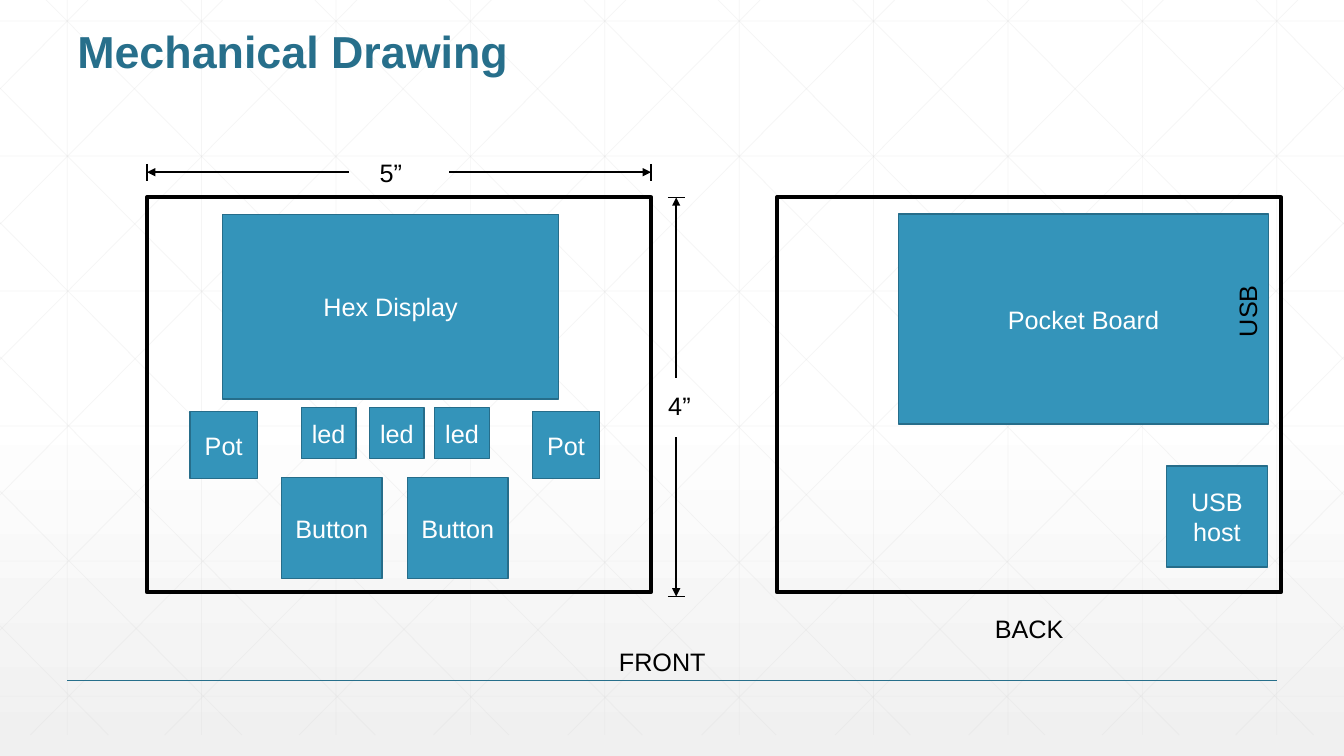
import copy
import pptx
import pptx.util
import pptx.dml.color
import pptx.enum.shapes
import pptx.enum.text
import pptx.oxml
import pptx.oxml.ns

RGBColor = pptx.dml.color.RGBColor
WHITE = RGBColor(0xFF, 0xFF, 0xFF)
SMOKE = RGBColor(0xF0, 0xF0, 0xF0)
GRID_GREY = RGBColor(0xD9, 0xD9, 0xD9)
BLACK = RGBColor(0, 0, 0)
BLUE = RGBColor(0x34, 0x94, 0xBA)
BLUE_EDGE = RGBColor(0x26, 0x6D, 0x8A)
TITLE_BLUE = RGBColor(0x27, 0x6F, 0x8B)

PX = 9525  # EMU per px, 96 px to the inch
WIDTH, HEIGHT = 1280, 720
GRID_BOTTOM = 700
GRID_STEP = 128
DIAGONAL_SLOPE = 0.993

ANCHOR = pptx.enum.text.MSO_ANCHOR
ALIGN = pptx.enum.text.PP_ALIGN
RECT = pptx.enum.shapes.MSO_SHAPE.RECTANGLE
STRAIGHT = pptx.enum.shapes.MSO_CONNECTOR.STRAIGHT


def px(*lengths):
    return [pptx.util.Emu(round(n * PX)) for n in lengths]


def apply(target, formats):
    for name, value in formats.items():
        setattr(target, name, value)


def add_xml(parent, tag, **attributes):
    child = pptx.oxml.parse_xml(f'<a:{tag} {pptx.oxml.ns.nsdecls("a")}/>')
    for name, value in attributes.items():
        child.set(name, value)
    parent.append(child)


def write(tf, text, color, size=18, bold=False, align=ALIGN.LEFT):
    p = tf.paragraphs[0]
    p.alignment = align
    r = p.add_run()
    r.text = text
    apply(r.font, {"name": "Arial", "size": pptx.util.Pt(size), "bold": bold})
    r.font.color.rgb = color


def add_line(shapes, x1, y1, x2, y2, color=BLACK, width=1, alpha=None, arrow=False):
    """Straight line; an arrow points at its first end."""
    cx = shapes.add_connector(STRAIGHT, *px(x1, y1, x2, y2))
    cx.line.color.rgb = color
    cx.line.width = pptx.util.Pt(width)
    ln = cx.line._ln
    if alpha:
        add_xml(ln.find(".//" + pptx.oxml.ns.qn("a:srgbClr")), "alpha", val=str(alpha * 1000))
    if arrow:
        add_xml(ln, "headEnd", type="triangle")
    add_xml(cx._element.spPr, "effectLst")


def add_rect(shapes, x, y, w, h, edge, width):
    sp = shapes.add_shape(RECT, *px(x, y, w, h))
    sp.shadow.inherit = False
    sp.fill.background()
    sp.line.color.rgb = edge
    sp.line.width = pptx.util.Pt(width)
    return sp


def add_block(shapes, text, x, y, w, h):
    sp = add_rect(shapes, x, y, w, h, BLUE_EDGE, 1)
    sp.fill.solid()
    sp.fill.fore_color.rgb = BLUE
    apply(sp.text_frame, {"word_wrap": True, "vertical_anchor": ANCHOR.MIDDLE})
    write(sp.text_frame, text, WHITE, align=ALIGN.CENTER)


def add_label(shapes, text, x, y, w, rotation=0):
    sp = shapes.add_textbox(*px(x, y, w, 38))
    sp.rotation = rotation
    sp.text_frame.word_wrap = False
    write(sp.text_frame, text, BLACK)


def add_background(slide):
    fill = slide.background.fill
    fill.gradient()
    fill.gradient_angle = 270
    stops = fill.gradient_stops
    for stop, color, position in zip(stops, (WHITE, SMOKE), (0, 1)):
        stop.color.rgb = color
        stop.position = position
    first = stops[0]._gs
    middle = copy.deepcopy(first)
    middle.set("pos", "53000")
    first.addnext(middle)


def add_grid(slide):
    shapes = slide.shapes.add_group_shape().shapes
    faint = {"color": GRID_GREY, "width": 0.5, "alpha": 25}
    for i in range(10):
        x = 64 + GRID_STEP * i
        add_line(shapes, x, 0, x, GRID_BOTTOM, **faint)
    for i in range(6):
        y = 20 + 128.6 * i
        add_line(shapes, 0, y, WIDTH, y, **faint)
    # Each falling diagonal has a mirrored twin
    for i in range(-5, 10):
        start = 44 + GRID_STEP * i
        x1, y1 = max(0, start), max(0, -start)
        y2 = min(GRID_BOTTOM, y1 + (WIDTH - x1) / DIAGONAL_SLOPE)
        x2 = x1 + (y2 - y1) * DIAGONAL_SLOPE
        add_line(shapes, x1, y1, x2, y2, **faint)
        add_line(shapes, WIDTH - x1, y1, WIDTH - x2, y2, **faint)


def add_title(slide, text):
    sp = slide.shapes.title
    apply(sp, dict(zip(("left", "top", "width", "height"), px(64, 24, 1152, 96))))
    apply(sp.text_frame, {"word_wrap": True, "vertical_anchor": ANCHOR.TOP})
    write(sp.text_frame, text, TITLE_BLUE, 32, True)
    sp.text_frame.paragraphs[0].line_spacing = 0.9
    slide.shapes._spTree.append(sp._element)  # in front of the grid


def add_dimensions(shapes):
    for x, inner in ((140, 332), (620, 428)):
        add_line(shapes, x, 164, inner, 164, arrow=True)
        add_line(shapes, x, 156, x, 172)
    for y, inner in ((188, 360), (568, 416)):
        add_line(shapes, 644, y, 644, inner, arrow=True)
        add_line(shapes, 636, y, 652, y)
    add_label(shapes, "5”", 352, 145, 41)
    add_label(shapes, "4”", 627, 367, 41)


def main():
    prs = pptx.Presentation()
    prs.slide_width, prs.slide_height = px(WIDTH, HEIGHT)
    slide = prs.slides.add_slide(prs.slide_layouts[5])
    shapes = slide.shapes

    # Backdrop and heading
    add_background(slide)
    add_grid(slide)
    add_line(shapes, 64, 648, 1216, 648, TITLE_BLUE)
    add_title(slide, "Mechanical Drawing")

    # Front panel
    add_rect(shapes, 140, 188, 480, 376, BLACK, 3)
    add_block(shapes, "Hex Display", 212, 204, 320, 176)
    for x in (181, 507):
        add_block(shapes, "Pot", x, 392, 64, 64)
    for x in (287, 352, 414):
        add_block(shapes, "led", x, 388, 52, 49)
    for x in (268, 388):
        add_block(shapes, "Button", x, 455, 96, 96)
    add_dimensions(shapes)
    add_label(shapes, "FRONT", 580, 611, 103)

    # Back panel
    add_rect(shapes, 740, 188, 480, 376, BLACK, 3)
    add_block(shapes, "Pocket Board", 856, 204, 352, 200)
    add_label(shapes, "USB", 1153, 277, 69, rotation=270)
    add_block(shapes, "USB host", 1111, 444, 96, 96)
    add_label(shapes, "BACK", 938, 579, 85)

    prs.save("out.pptx")


if __name__ == "__main__":
    main()
